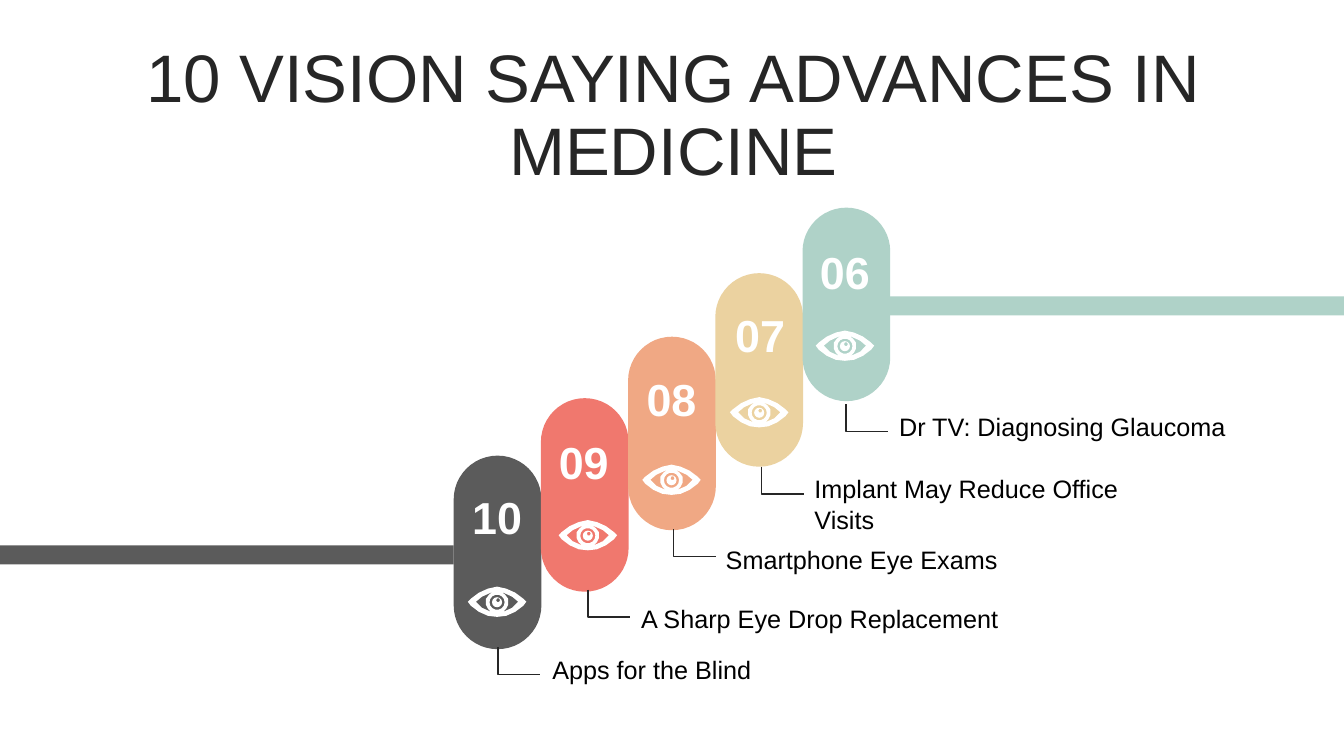
from dataclasses import dataclass
from math import cos, pi, sin

from pptx import Presentation
from pptx.dml.color import RGBColor
from pptx.enum.shapes import MSO_SHAPE as Shape
from pptx.enum.text import MSO_ANCHOR as Anchor, PP_ALIGN as Align
from pptx.util import Inches, Pt

WHITE = RGBColor(0xFF, 0xFF, 0xFF)
BLACK = RGBColor(0x00, 0x00, 0x00)
INK = RGBColor(0x26, 0x26, 0x26)
GRAY = RGBColor(0x5B, 0x5B, 0x5B)
RED = RGBColor(0xF0, 0x78, 0x6E)
ORANGE = RGBColor(0xF0, 0xA8, 0x84)
SAND = RGBColor(0xEB, 0xD2, 0xA0)
MINT = RGBColor(0xAF, 0xD2, 0xC8)

SLIDE_W, SLIDE_H = 13.33, 7.5
PILL_LEFT, PILL_STEP, PILL_W, PILL_H = 4.5, 0.865, 0.87, 1.92
BAR_H = 0.19
ELBOW_W, ELBOW_H = 0.42, 0.27

Point = tuple[float, float]


@dataclass
class Step:
    number: str
    label: str
    color: RGBColor
    top: float
    number_at: Point
    eye_at: Point
    elbow_at: Point
    label_at: Point
    label_w: float = 3.74


STEPS = [
    Step("10", "Apps for the Blind", GRAY, 4.52,
         (4.5, 4.81), (4.64, 5.82), (4.94, 6.42), (5.38, 6.44)),
    Step("09", "A Sharp Eye Drop Replacement", RED, 3.95,
         (5.36, 4.26), (5.54, 5.16), (5.83, 5.85), (6.26, 5.94), 4.58),
    Step("08", "Smartphone Eye Exams", ORANGE, 3.34,
         (6.23, 3.63), (6.37, 4.61), (6.68, 5.25), (7.1, 5.35)),
    Step("07", "Implant May Reduce Office Visits", SAND, 2.71,
         (7.11, 3), (7.24, 3.94), (7.55, 4.63), (7.98, 4.65)),
    Step("06", "Dr TV: Diagnosing Glaucoma", MINT, 2.06,
         (7.95, 2.37), (8.09, 3.28), (8.39, 4.01), (8.82, 4.03)),
]


def circle(x: float, y: float, r: float, count: int) -> list[Point]:
    return [(x + r * cos(2 * pi * n / count), y + r * sin(2 * pi * n / count))
            for n in range(count)]


def mirror(pts: list[Point]) -> list[Point]:
    return [(0.58 - x, y) for x, y in pts]


LID = [(0.29, 0), (0.38, 0.02), (0.47, 0.06), (0.55, 0.12), (0.58, 0.15),
       (0.55, 0.19), (0.47, 0.25), (0.38, 0.29), (0.29, 0.3)]
EYE_CORNER = [(0.33, 0.05), (0.37, 0.08), (0.4, 0.12), (0.4, 0.18), (0.38, 0.22),
              (0.35, 0.25), (0.44, 0.21), (0.5, 0.15), (0.44, 0.1)]
EYE = [
    LID + mirror(LID)[-2:0:-1],
    EYE_CORNER,
    mirror(EYE_CORNER),
    circle(0.29, 0.155, 0.075, 14),
    circle(0.29, 0.155, 0.05, 12),
    circle(0.3, 0.135, 0.02, 6),
]


def add_text(s, text: str, x: float, y: float, w: float, h: float, *, size: float,
             color: RGBColor, bold: bool = False, align: Align = Align.LEFT,
             anchor: Anchor = Anchor.TOP, spacing: float = 1.0) -> None:
    tf = s.shapes.add_textbox(Inches(x), Inches(y), Inches(w), Inches(h)).text_frame
    tf.word_wrap = True
    tf.vertical_anchor = anchor
    p = tf.paragraphs[0]
    p.alignment = align
    p.line_spacing = spacing
    r = p.add_run()
    r.text = text
    r.font.name = "Arial"
    r.font.size = Pt(size)
    r.font.bold = bold
    r.font.color.rgb = color


def add_block(s, kind: Shape, x: float, y: float, w: float, h: float, color: RGBColor):
    sp = s.shapes.add_shape(kind, Inches(x), Inches(y), Inches(w), Inches(h))
    sp.shadow.inherit = False
    sp.fill.solid()
    sp.fill.fore_color.rgb = color
    sp.line.fill.background()
    return sp


def add_outline(s, contours: list[list[Point]], at: Point, close: bool):
    placed = [[(Inches(at[0] + x), Inches(at[1] + y)) for x, y in c] for c in contours]
    fb = s.shapes.build_freeform(*placed[0][0])
    for i, pts in enumerate(placed):
        if i:
            fb.move_to(*pts[0])
        fb.add_line_segments(pts[1:], close=close)
    sp = fb.convert_to_shape()
    sp.shadow.inherit = False
    return sp


def add_eye(s, at: Point) -> None:
    sp = add_outline(s, EYE, at, close=True)
    sp.fill.solid()
    sp.fill.fore_color.rgb = WHITE
    sp.line.fill.background()


def add_elbow(s, at: Point) -> None:
    sp = add_outline(s, [[(0, 0), (0, ELBOW_H), (ELBOW_W, ELBOW_H)]], at, close=False)
    sp.fill.background()
    sp.line.color.rgb = INK
    sp.line.width = Pt(1)


def add_step(s, step: Step, x: float) -> None:
    pill = add_block(s, Shape.ROUNDED_RECTANGLE, x, step.top, PILL_W, PILL_H, step.color)
    pill.adjustments[0] = 0.5
    add_text(s, step.number, *step.number_at, 0.86, 0.64, size=32, color=WHITE,
             bold=True, align=Align.CENTER, anchor=Anchor.MIDDLE)
    add_eye(s, step.eye_at)
    add_elbow(s, step.elbow_at)
    add_text(s, step.label, *step.label_at, step.label_w, 0.4, size=18, color=BLACK)


def main() -> None:
    prs = Presentation()
    prs.slide_width, prs.slide_height = Inches(SLIDE_W), Inches(SLIDE_H)
    s = prs.slides.add_slide(prs.slide_layouts[6])
    add_text(s, "10 VISION SAYING ADVANCES IN MEDICINE", 0.35, 0.77, 12.66, 0.79,
             size=48, color=INK, align=Align.CENTER, anchor=Anchor.MIDDLE, spacing=0.9)
    for i, step in enumerate(STEPS):
        add_step(s, step, PILL_LEFT + i * PILL_STEP)
    add_block(s, Shape.RECTANGLE, 0, 5.41, PILL_LEFT, BAR_H, GRAY)
    add_block(s, Shape.RECTANGLE, 8.82, 2.94, SLIDE_W - 8.82, BAR_H, MINT)
    prs.save("out.pptx")


if __name__ == "__main__":
    main()
